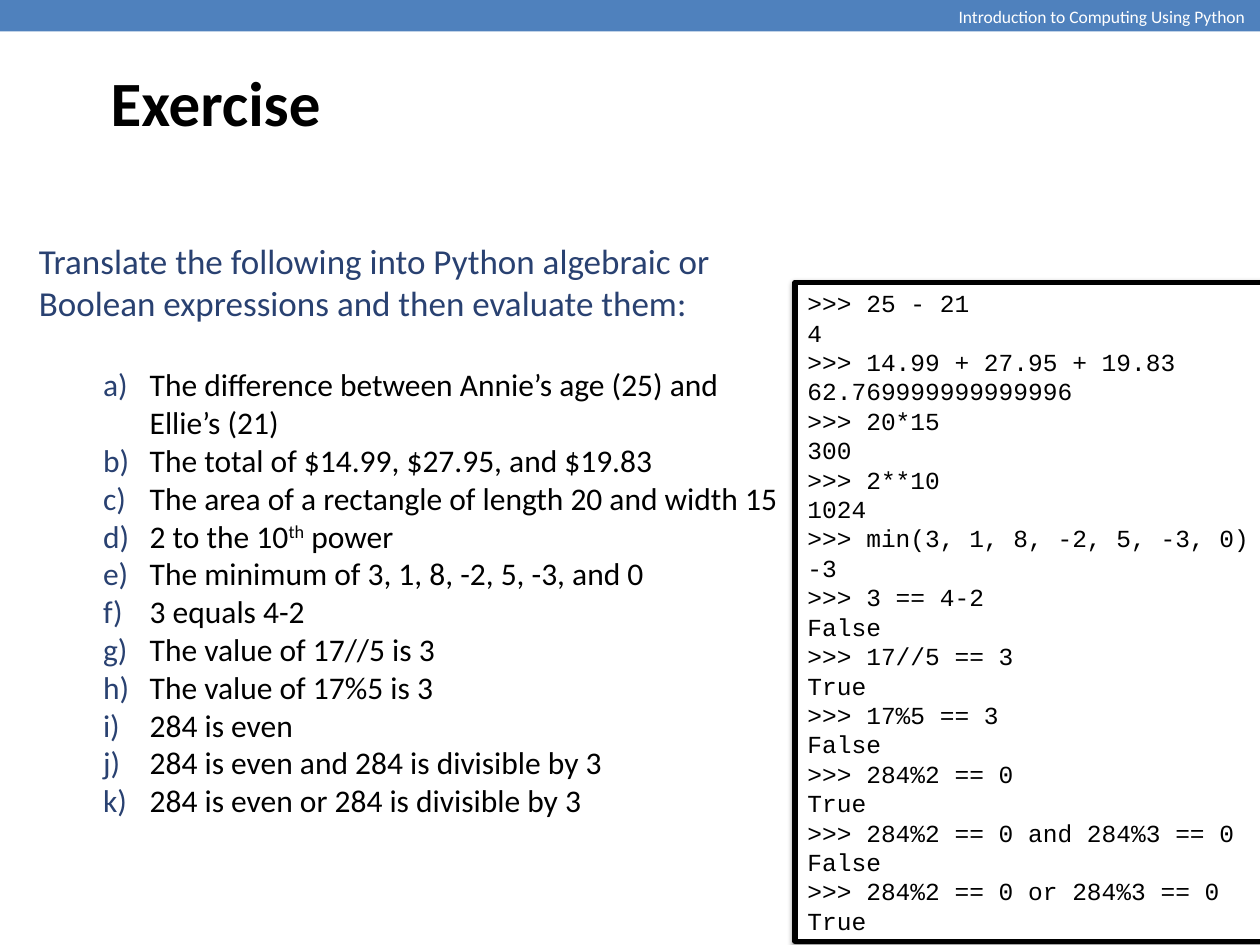
from lxml import etree
from pptx import Presentation
from pptx.dml.color import RGBColor
from pptx.enum.shapes import MSO_SHAPE as SHAPE
from pptx.enum.text import MSO_ANCHOR as ANCHOR, PP_ALIGN as ALIGN
from pptx.oxml import parse_xml
from pptx.oxml.ns import nsdecls, qn
from pptx.util import Inches, Pt

COLORS = {"band": "4F81BD", "white": "FFFFFF", "black": "000000", "navy": "294171"}


def style(paragraph, size, color, face="Calibri", bold=False):
    font = paragraph.font
    font.name, font.size, font.bold = face, Pt(size), bold
    font.color.rgb = RGBColor.from_string(COLORS[color])


def add_text(left, top, width, height):
    frame = slide.shapes.add_textbox(
        Inches(left), Inches(top), Inches(width), Inches(height)).text_frame
    frame.word_wrap = True
    return frame


prs = Presentation()
prs.slide_width, prs.slide_height = Inches(10), Inches(7.5)
slide = prs.slides.add_slide(prs.slide_layouts[6])

# Header band
band = slide.shapes.add_shape(SHAPE.RECTANGLE, 0, 0, Inches(10.01), Inches(0.25))
band.shadow.inherit = False
band.fill.solid()
band.fill.fore_color.rgb = RGBColor.from_string(COLORS["band"])
band.line.fill.background()

course = add_text(7.51, 0, 2.5, 0.43)
course.text = "Introduction to Computing Using Python"
style(course.paragraphs[0], 10, "white")

# Title
title = add_text(0.78, 0, 8.5, 1.61)
title.vertical_anchor = ANCHOR.MIDDLE
title.text = "Exercise"
style(title.paragraphs[0], 36, "black", bold=True)

# Interpreter session
session = [
    ("25 - 21", "4"),
    ("14.99 + 27.95 + 19.83", "62.769999999999996"),
    ("20*15", "300"),
    ("2**10", "1024"),
    ("min(3, 1, 8, -2, 5, -3, 0)", "-3"),
    ("3 == 4-2", "False"),
    ("17//5 == 3", "True"),
    ("17%5 == 3", "False"),
    ("284%2 == 0", "True"),
    ("284%2 == 0 and 284%3 == 0", "False"),
    ("284%2 == 0 or 284%3 == 0", "True"),
]
shell = slide.shapes.add_shape(
    SHAPE.RECTANGLE, Inches(6.31), Inches(2.24), Inches(3.71), Inches(5.23))
shell.fill.solid()
shell.fill.fore_color.rgb = RGBColor.from_string(COLORS["white"])
shell.line.color.rgb = RGBColor.from_string(COLORS["black"])
shell.line.width = Pt(3)
shell.shadow.inherit = False
effects = shell._element.spPr.find(qn("a:effectLst"))
effects.append(parse_xml(
    f'<a:outerShdw {nsdecls("a")} blurRad="40000" dist="20000" dir="5400000" '
    f'rotWithShape="0"><a:srgbClr val="{COLORS["black"]}">'
    '<a:alpha val="38000"/></a:srgbClr></a:outerShdw>'))

code = shell.text_frame
code.word_wrap = True
code.vertical_anchor = ANCHOR.MIDDLE
code.text = "\n".join(f">>> {expression}\n{value}" for expression, value in session)
for line in code.paragraphs:
    line.alignment = ALIGN.LEFT
    style(line, 14, "black", "Courier New")

# Task and lettered questions
questions = [
    ["The difference between Annie’s age (25) and Ellie’s (21)"],
    ["The total of $14.99, $27.95, and $19.83"],
    ["The area of a rectangle of length 20 and width 15"],
    ["2 to the 10", "th", " power"],
    ["The minimum of 3, 1, 8, -2, 5, -3, and 0"],
    ["3 equals 4-2"],
    ["The value of 17//5 is 3"],
    ["The value of 17%5 is 3"],
    ["284 is even"],
    ["284 is even and 284 is divisible by 3"],
    ["284 is even or 284 is divisible by 3"],
]
task = add_text(0.21, 1.85, 6.1, 5.67)
task.text = ("Translate the following into Python algebraic or "
             "Boolean expressions and then evaluate them:")
style(task.paragraphs[0], 20, "navy")

for number, parts in enumerate(questions):
    question = task.add_paragraph()
    question.level = 1
    props = question._p.get_or_add_pPr()
    props.set("marL", str(Inches(0.88)))
    props.set("indent", str(Inches(-0.37)))
    bullet_color = etree.SubElement(props, qn("a:buClr"))
    etree.SubElement(bullet_color, qn("a:srgbClr"), val=COLORS["navy"])
    etree.SubElement(props, qn("a:buFont"), typeface="+mj-lt")
    etree.SubElement(props, qn("a:buAutoNum"), type="alphaLcParenR")
    style(question, 18, "black")
    if number == 0:
        question.space_before = Pt(24)
    for part in parts:
        run = question.add_run()
        run.text = part
        if part == "th":
            run._r.get_or_add_rPr().set("baseline", "30000")

prs.save("out.pptx")
